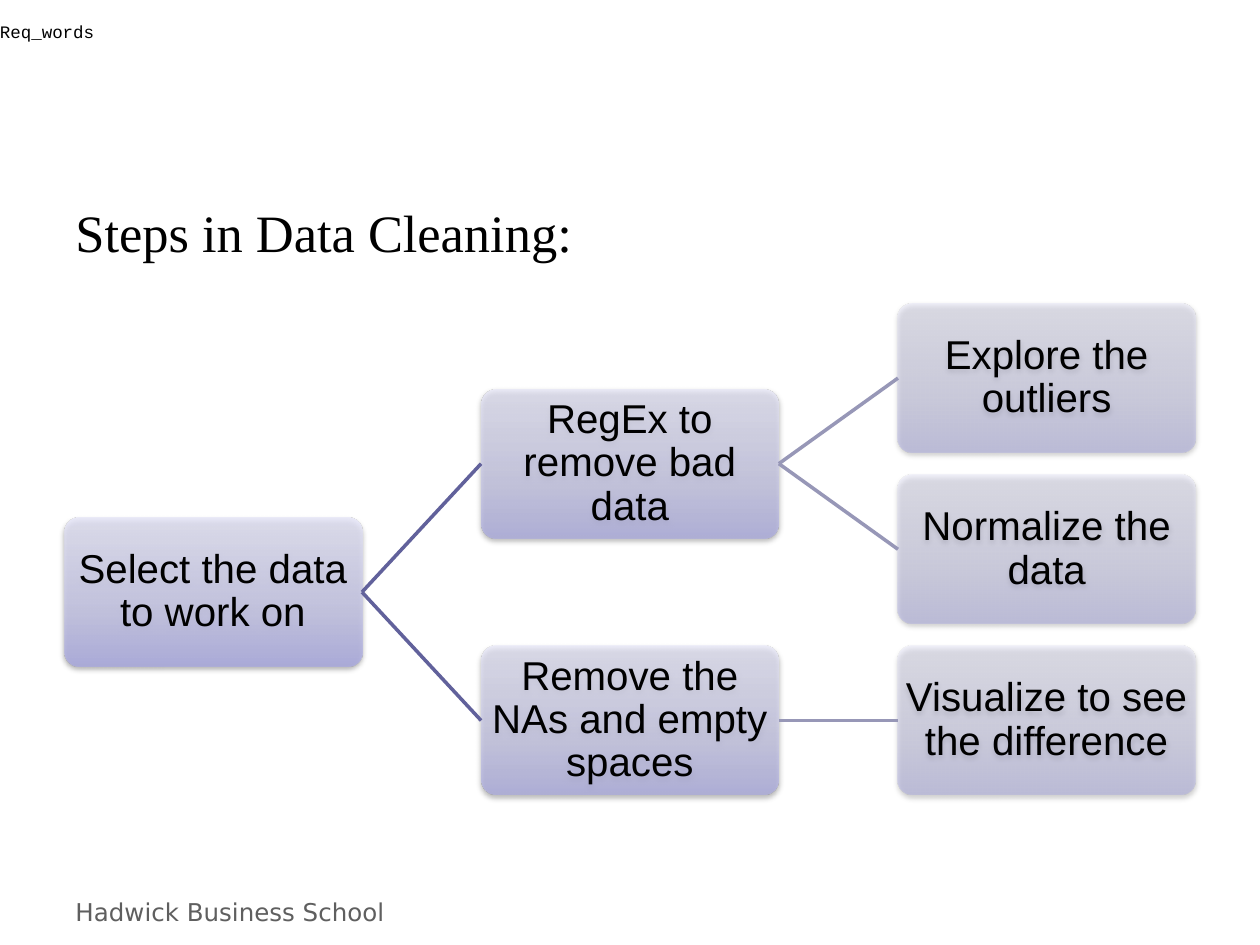
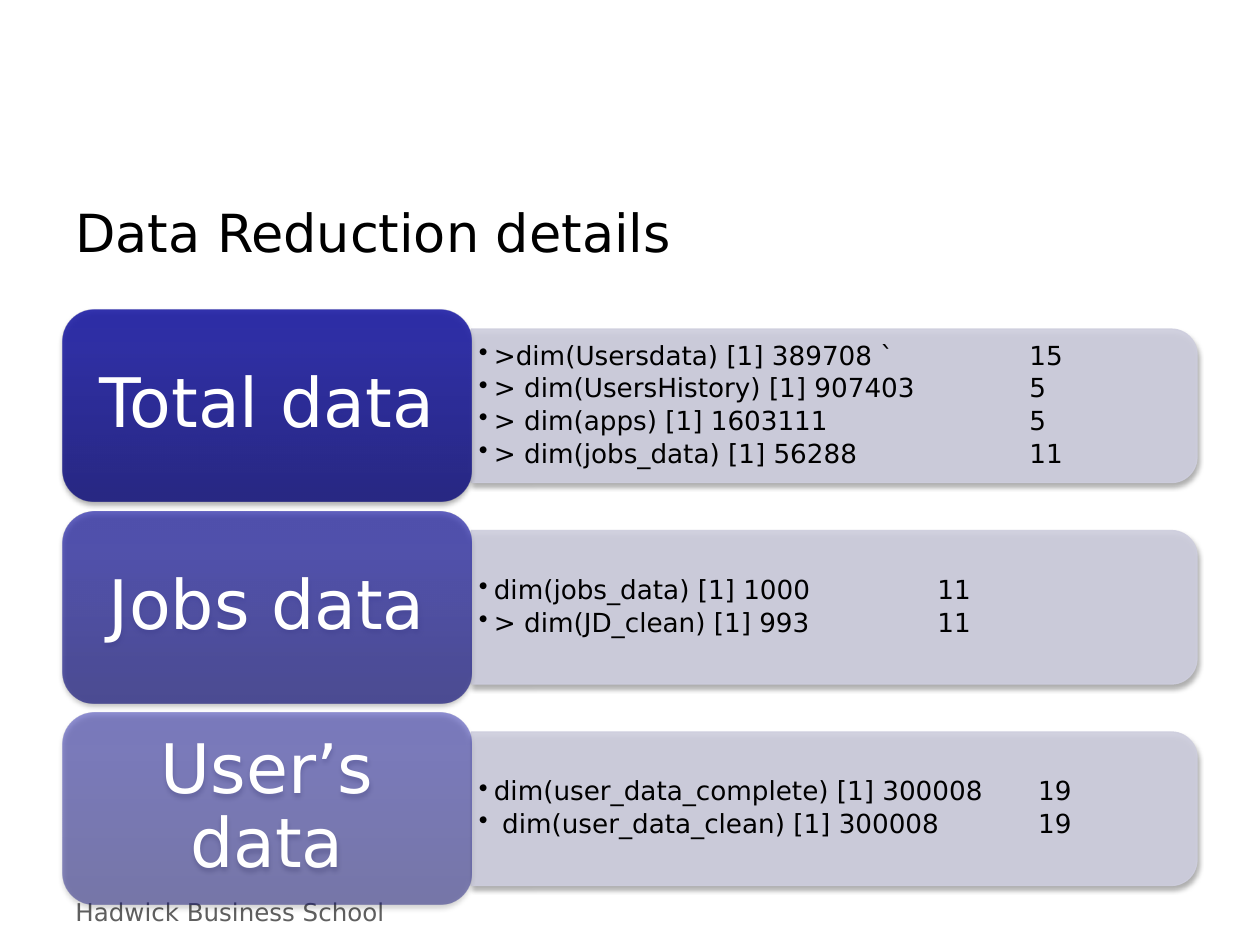
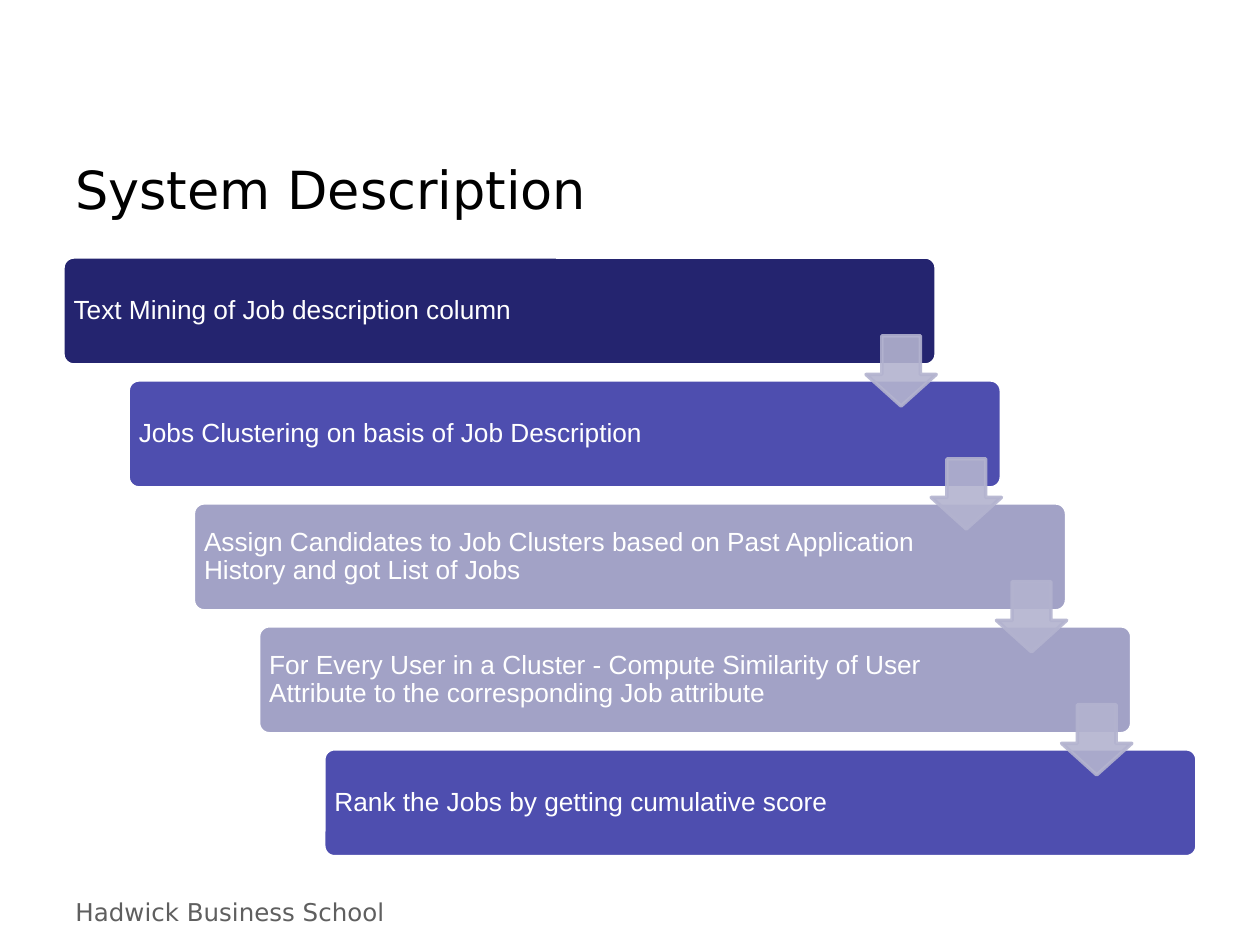
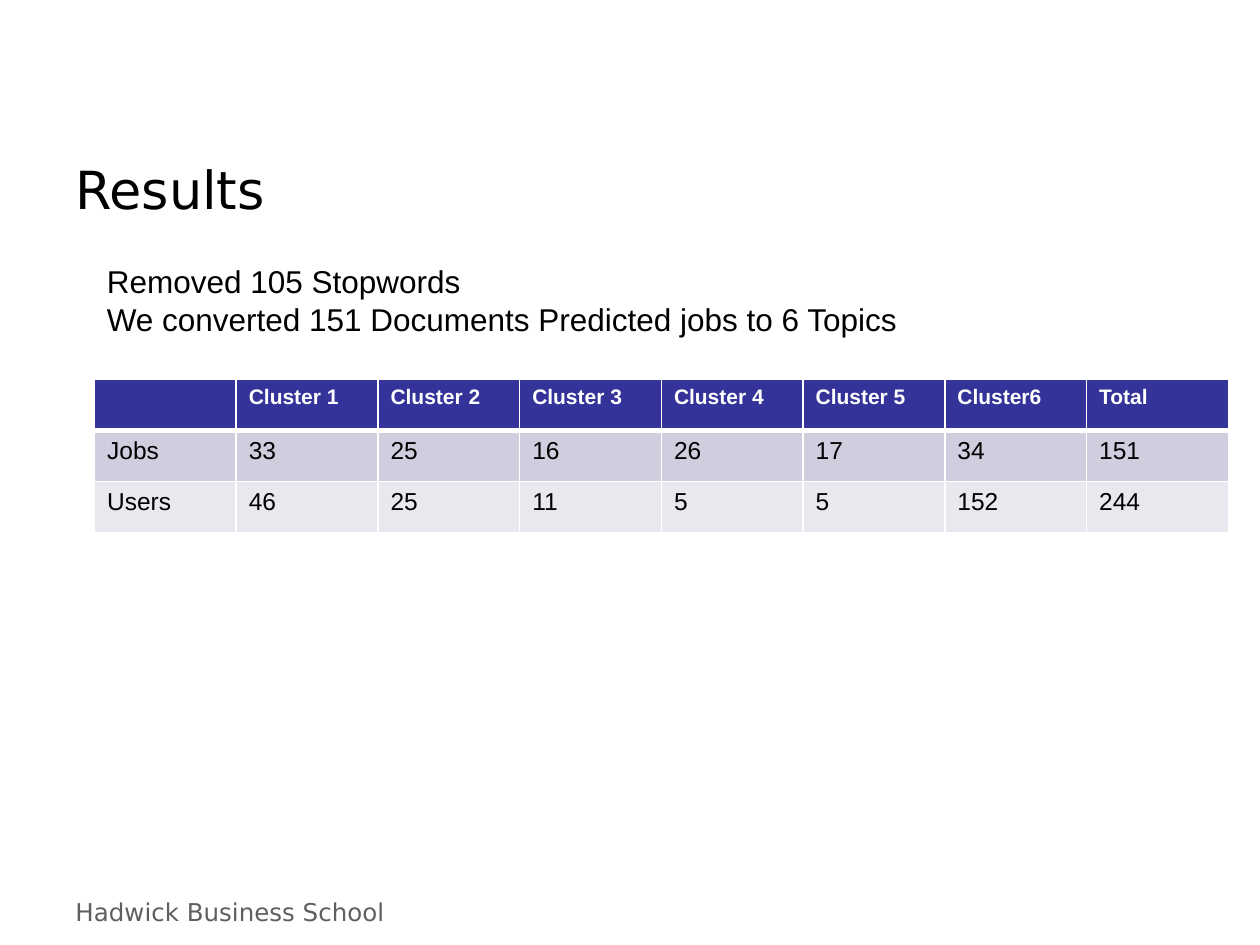
from dataclasses import dataclass

from lxml import etree
from pptx import Presentation, util as u
from pptx.dml.color import RGBColor
from pptx.enum import shapes as kinds, text as t
from pptx.oxml.ns import qn

WHITE, BLACK, GREY = "FFFFFF", "000000", "5F5F5F"
NAVY, INDIGO, LAVENDER = "24246F", "4E4EAF", "A2A2C6"
HEADER, PALE, PALER, ARROW = "333399", "CECEDE", "E8E8EF", "B3B3CF"
LIGHT_STOPS = [(0, "A9A9E1"), (35, "C4C4E7"), (100, "E6E6F8")]
DARK_STOPS = [(0, "1B1B7E"), (80, "2323A3"), (100, "2020A6")]
SANS, ARIAL, SERIF, MONO = "DejaVu Sans", "Arial", "Times New Roman", "Courier New"
LEFT, CENTER = t.PP_ALIGN.LEFT, t.PP_ALIGN.CENTER
TOP, MIDDLE = t.MSO_ANCHOR.TOP, t.MSO_ANCHOR.MIDDLE
PRESET = kinds.MSO_SHAPE


@dataclass
class Box:
    x: float
    y: float
    w: float
    h: float

    def share(self, x, y, w, h):
        return Box(self.x + x * self.w, self.y + y * self.h, w * self.w, h * self.h)

    def emu(self):
        return [u.Inches(v) for v in (self.x, self.y, self.w, self.h)]


PAGE = Box(0, 0, 10, 7.5)
LOW_TITLE = Box(0.5, 1.25, 9, 1.17)
HIGH_TITLE = Box(0.5, 1.06, 9, 0.88)


def rgb(value):
    return RGBColor.from_string(value)


def node(parent, tag, **attributes):
    return etree.SubElement(parent, qn("a:" + tag), {k: str(v) for k, v in attributes.items()})


def tint(parent, color, alpha):
    node(node(parent, "srgbClr", val=color), "alpha", val=alpha * 1000)


def write(frame, lines, size=15, font=ARIAL, color=BLACK, bold=False, align=LEFT, anchor=MIDDLE,
          insets=(0.1, 0.05, 0.1, 0.05), spacing=None, after=None, tab=None, wrap=True):
    frame.word_wrap = wrap
    frame.vertical_anchor = anchor
    frame.margin_left, frame.margin_top, frame.margin_right, frame.margin_bottom = map(u.Inches, insets)
    for index, line in enumerate([lines] if isinstance(lines, str) else lines):
        paragraph = frame.add_paragraph() if index else frame.paragraphs[0]
        paragraph.alignment = align
        if spacing:
            paragraph.line_spacing = spacing
        if after:
            paragraph.space_after = u.Pt(after)
        if tab:
            bullet_with_tab(paragraph, tab)
        run = paragraph.add_run()
        run.text = line
        run.font.size, run.font.name, run.font.bold = u.Pt(size), font, bold
        run.font.color.rgb = rgb(color)


def bullet_with_tab(paragraph, tab):
    properties = paragraph._p.get_or_add_pPr()
    indent = u.Inches(0.12)
    properties.set("marL", str(indent))
    properties.set("indent", str(-indent))
    node(properties, "buChar", char="•")
    node(node(properties, "tabLst"), "tab", pos=u.Inches(tab), algn="l")


def label(slide, box, lines, **style):
    write(slide.shapes.add_textbox(*box.emu()).text_frame, lines, **style)


def panel(slide, preset, box, fill=None, alpha=100, stops=None, line=None, line_width=2,
          adjust=(), shadow=None):
    shape = slide.shapes.add_shape(preset, *box.emu())
    for index, value in enumerate(adjust):
        shape.adjustments[index] = value
    shape.shadow.inherit = False
    properties = shape._element.spPr
    if stops:
        shape.fill.gradient()
        shape.fill.gradient_angle = 90
        stop_list = properties.find(".//" + qn("a:gsLst"))
        stop_list.clear()
        for position, color in stops:
            tint(node(stop_list, "gs", pos=position * 1000), color, alpha)
    else:
        shape.fill.solid()
        shape.fill.fore_color.rgb = rgb(fill)
    if line:
        shape.line.color.rgb = rgb(line)
        shape.line.width = u.Pt(line_width)
    else:
        shape.line.fill.background()
    if alpha < 100 and not stops:
        for color in properties.iter(qn("a:srgbClr")):
            node(color, "alpha", val=alpha * 1000)
    if shadow:
        opacity, distance = shadow
        cast = node(properties.find(qn("a:effectLst")), "outerShdw", blurRad=u.Pt(3.1),
                    dist=u.Pt(distance), dir=5400000, rotWithShape=0)
        tint(cast, BLACK, opacity)
    return shape


def branch(slide, parent, child, color):
    link = slide.shapes.add_connector(kinds.MSO_CONNECTOR.STRAIGHT, 0, 0, 0, 0)
    link.begin_connect(parent, 3)
    link.end_connect(child, 1)
    link.line.color.rgb = rgb(color)
    link.line.width = u.Pt(2)
    node(link._element.spPr, "effectLst")


def start_slide(deck, title, title_box, font=SANS):
    slide = deck.slides.add_slide(deck.slide_layouts[6])
    label(slide, Box(0.5, 7.07, 3.71, 0.33), "Hadwick Business School",
          size=14, font=SANS, color=GREY, anchor=TOP)
    label(slide, title_box, title, size=30, font=font)
    return slide


def step_tree(slide, box, steps, links):
    width = box.w / 3.8
    height = width / 2
    cards = []
    for column, row, alpha, words in steps:
        place = Box(box.x + column * 1.4 * width, box.y + row * 1.15 * height, width, height)
        card = panel(slide, PRESET.ROUNDED_RECTANGLE, place, stops=LIGHT_STOPS, alpha=alpha,
                     adjust=[0.1], shadow=(38, 1.6))
        write(card.text_frame, words, size=23, align=CENTER, insets=[0.02] * 4, spacing=0.9)
        cards.append(card)
    for parent, child, color in links:
        branch(slide, cards[parent], cards[child], color)


def detail_rows(slide, box, rows):
    height = 1 / (len(rows) + 0.05 * (len(rows) - 1))
    for index, (name, alpha, tab, lines) in enumerate(rows):
        row = box.share(0, index * 1.05 * height, 1, height)
        detail = row.share(0.36, 0.1, 0.64, 0.8)
        upright = Box(detail.x + (detail.w - detail.h) / 2, detail.y - (detail.w - detail.h) / 2,
                      detail.h, detail.w)
        panel(slide, PRESET.ROUND_2_SAME_RECTANGLE, upright, fill=PALE, alpha=90, line=PALE,
              line_width=0.75, shadow=(35, 1.8)).rotation = 90
        label(slide, detail.share(0, 0.05, 0.99, 0.9), lines, font=SANS,
              insets=(0.06, 0.03, 0.06, 0.03), spacing=0.9, after=2.5, tab=tab)
        heading = panel(slide, PRESET.ROUNDED_RECTANGLE, row.share(0, 0, 0.36, 1),
                        stops=DARK_STOPS, alpha=alpha, shadow=(35, 1.8))
        write(heading.text_frame, name, size=39, font=SANS, color=WHITE, align=CENTER,
              insets=(0.16, 0.08, 0.16, 0.08), spacing=0.9)


def staircase(slide, box, stages):
    gaps = len(stages) - 1
    bars = [box.share(0.23 * i / gaps, 0.82 * i / gaps, 0.77, 0.18) for i in range(len(stages))]
    for bar, (color, words) in zip(bars, stages):
        stage = panel(slide, PRESET.ROUNDED_RECTANGLE, bar, fill=color, line=WHITE, adjust=[0.1])
        write(stage.text_frame, words, color=WHITE, insets=(0.06, 0.06, 1.12, 0.06), spacing=0.9)
    for bar in bars[:-1]:
        side = 0.65 * bar.h
        place = Box(bar.x + bar.w - side, bar.y + 0.73 * bar.h, side, side)
        panel(slide, PRESET.DOWN_ARROW, place, fill=ARROW, alpha=90, line=ARROW,
              adjust=[0.55, 0.45])


def edge_cell(cell, widths):
    properties = cell._tc.get_or_add_tcPr()
    for index, (side, width) in enumerate(zip("LRTB", widths)):
        edge = node(properties, "ln" + side, w=u.Pt(width))
        node(node(edge, "solidFill"), "srgbClr", val=WHITE)
        properties.insert(index, edge)


def cluster_table(slide, box, rows):
    table = slide.shapes.add_table(len(rows), len(rows[0]), *box.emu()).table
    for r, row in enumerate(rows):
        for c, words in enumerate(row):
            cell = table.cell(r, c)
            cell.fill.solid()
            cell.fill.fore_color.rgb = rgb((HEADER, PALE, PALER)[r])
            edge_cell(cell, (1, 1, 3 if r == 1 else 1, 3 if r == 0 else 1))
            if words:
                write(cell.text_frame, words, size=14 if r else 12, bold=r == 0,
                      color=BLACK if r else WHITE, anchor=None)


def cleaning_slide(deck):
    slide = start_slide(deck, "Steps in Data Cleaning:", LOW_TITLE, SERIF)
    near, far = "61619B", "9797B7"
    step_tree(slide, Box(0.51, 2.41, 8.98, 3.9), [
        (0, 1.25, 80, "Select the data to work on"),
        (1, 0.5, 70, "RegEx to remove bad data"),
        (2, 0, 50, "Explore the outliers"),
        (2, 1, 50, "Normalize the data"),
        (1, 2, 70, "Remove the NAs and empty spaces"),
        (2, 2, 50, "Visualize to see the difference"),
    ], [(0, 1, near), (1, 2, far), (1, 3, far), (0, 4, near), (4, 5, far)])
    banner = panel(slide, PRESET.RECTANGLE, PAGE.share(0, 0, 1, 1 / 15), fill=WHITE)
    write(banner.text_frame, "Req_words", size=10, font=MONO, insets=[0] * 4)


def reduction_slide(deck):
    slide = start_slide(deck, "Data Reduction details", LOW_TITLE)
    detail_rows(slide, Box(0.5, 2.46, 9, 4.72), [
        ("Total data", 90, 4.37, [
            ">dim(Usersdata) [1] 389708 `\t15",
            "> dim(UsersHistory) [1] 907403\t5",
            "> dim(apps) [1] 1603111\t5",
            "> dim(jobs_data) [1] 56288\t11"]),
        ("Jobs data", 70, 3.64, [
            "dim(jobs_data) [1] 1000\t11",
            "> dim(JD_clean) [1] 993\t11"]),
        ("User’s data", 50, 4.44, [
            "dim(user_data_complete) [1] 300008\t19",
            " dim(user_data_clean) [1] 300008\t19"]),
    ])


def system_slide(deck):
    slide = start_slide(deck, "System Description", HIGH_TITLE)
    staircase(slide, Box(0.5, 2.04, 9, 4.76), [
        (NAVY, "Text Mining of Job description column"),
        (INDIGO, "Jobs Clustering on basis of Job Description"),
        (LAVENDER, "Assign Candidates to Job Clusters based on Past Application "
                   "History and got List of Jobs"),
        (LAVENDER, "For Every User in a Cluster - Compute Similarity of User "
                   "Attribute to the corresponding Job attribute"),
        (INDIGO, "Rank the Jobs by getting cumulative score"),
    ])


def results_slide(deck):
    slide = start_slide(deck, "Results", HIGH_TITLE)
    cluster_table(slide, Box(0.75, 3.01, 9, 1.22), [
        ["", "Cluster 1", "Cluster 2", "Cluster 3", "Cluster 4", "Cluster 5", "Cluster6", "Total"],
        ["Jobs", "33", "25", "16", "26", "17", "34", "151"],
        ["Users", "46", "25", "11", "5", "5", "152", "244"],
    ])
    label(slide, Box(0.75, 2.03, 6.53, 0.71),
          ["Removed 105 Stopwords", "We converted 151 Documents Predicted jobs to 6 Topics"],
          size=18, anchor=TOP, wrap=False)


def main():
    deck = Presentation()
    deck.slide_width, deck.slide_height = u.Inches(PAGE.w), u.Inches(PAGE.h)
    for build in (cleaning_slide, reduction_slide, system_slide, results_slide):
        build(deck)
    deck.save("out.pptx")


if __name__ == "__main__":
    main()
